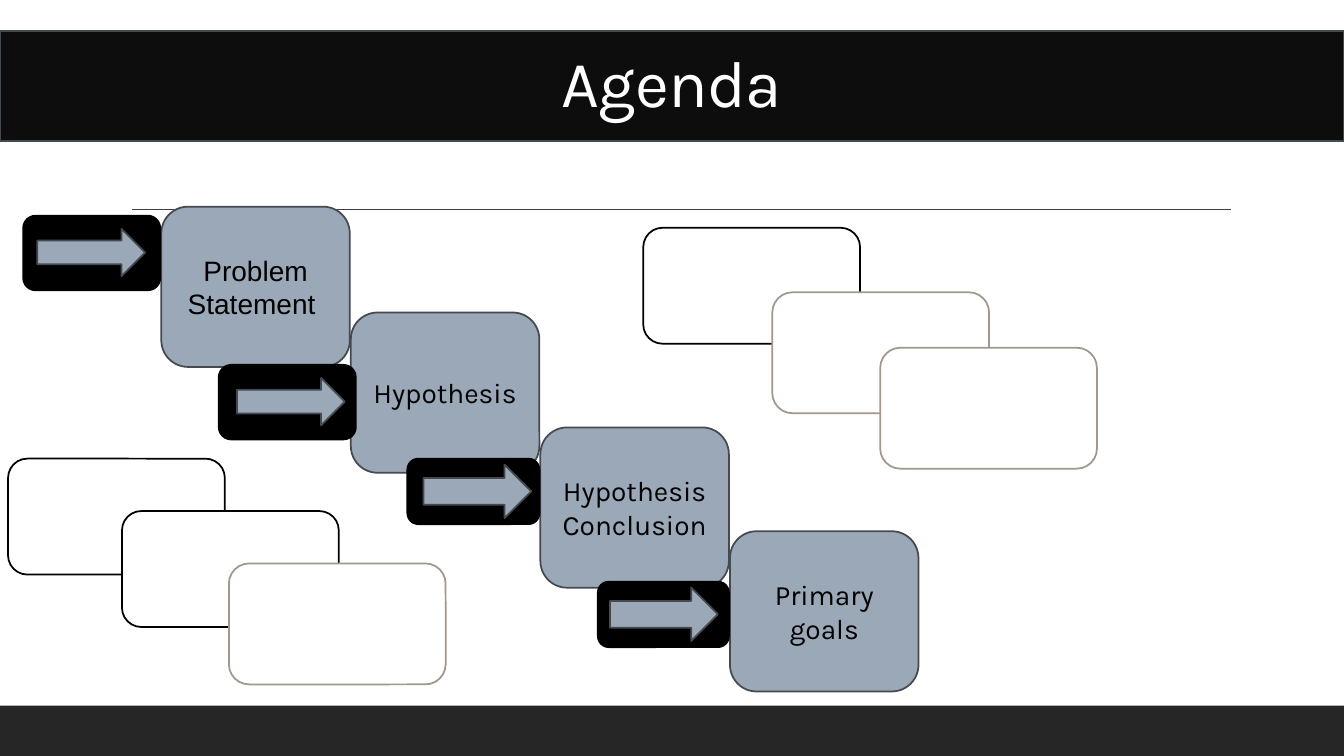
from lxml import etree
from pptx import Presentation
from pptx.dml.color import RGBColor
from pptx.enum.shapes import MSO_CONNECTOR, MSO_SHAPE
from pptx.enum.text import MSO_ANCHOR, PP_ALIGN
from pptx.oxml.ns import qn
from pptx.util import Inches, Pt

RECT = MSO_SHAPE.RECTANGLE
ROUNDED = MSO_SHAPE.ROUNDED_RECTANGLE
ARROW = MSO_SHAPE.RIGHT_ARROW
STRAIGHT = MSO_CONNECTOR.STRAIGHT
MIDDLE = MSO_ANCHOR.MIDDLE
CENTER = PP_ALIGN.CENTER

COLORS = {
    "black": "000000", "white": "FFFFFF", "title": "0D0D0D", "footer": "262626",
    "rule": "404040", "slate": "9BA8B7", "edge": "444A50", "taupe": "A0988C",
}
COLS, ROWS = 133.3, 75

# left, top of each step; label; font
STEP_TOPS = [20.5, 31, 42.4, 52.7]
STEPS = [("Problem Statement ", "Arial"), ("Hypothesis", "Karla"),
         ("Hypothesis Conclusion", "Karla"), ("Primary goals", "Karla")]
# badge box, then arrow left, top and height
BADGES = [
    ((2.3, 21.4, 13.6, 7.4), (3.7, 22.7, 4.7)),
    ((21.7, 36.2, 13.6, 7.4), (23.5, 37.5, 4.7)),
    ((40.4, 45.5, 13.1, 6.5), (42, 46.1, 5.3)),
    ((59.3, 57.7, 13, 6.5), (60.5, 58.3, 5.3)),
]
# left, top, height, outline of each empty card, back to front
CARDS = [
    (63.8, 22.6, 11.5, "black"), (76.6, 29, 12, "taupe"), (87.3, 34.5, 12, "taupe"),
    (0.8, 45.5, 11.5, "black"), (12.1, 50.7, 11.5, "black"), (22.7, 55.9, 12, "taupe"),
]


class Deck:
    """Holds the style, the grid and the current slide."""

    def __init__(self):
        self.prs = Presentation()
        self.prs.slide_width, self.prs.slide_height = Inches(13.33), Inches(7.5)
        self.slide = self.prs.slides.add_slide(self.prs.slide_layouts[6])

    def x(self, cols):
        return round(self.prs.slide_width * cols / COLS)

    def y(self, rows):
        return round(self.prs.slide_height * rows / ROWS)

    def color(self, name):
        return RGBColor.from_string(COLORS[name])

    def box(self, kind, left, top, width, height, fill, line=None):
        sp = self.slide.shapes.add_shape(
            kind, self.x(left), self.y(top), self.x(width), self.y(height))
        sp.shadow.inherit = False
        sp.fill.solid()
        sp.fill.fore_color.rgb = self.color(fill)
        if line:
            sp.line.color.rgb = self.color(line)
            sp.line.width = Pt(1.25)
        else:
            sp.line.fill.background()
        return sp

    def text(self, sp, words, size, font, color, spacing=None, tracking=None):
        """Centre words in a shape; tracking is in hundredths of a point."""
        tf = sp.text_frame
        tf.word_wrap = True
        tf.vertical_anchor = MIDDLE
        p = tf.paragraphs[0]
        p.alignment = CENTER
        p.line_spacing = spacing
        r = p.add_run()
        r.text = words
        r.font.size = Pt(size)
        r.font.name = font
        r.font.color.rgb = self.color(color)
        if tracking:
            r._r.get_or_add_rPr().set("spc", str(tracking))

    def rule(self, left, right, row):
        line = self.slide.shapes.add_connector(
            STRAIGHT, self.x(left), self.y(row), self.x(right), self.y(row))
        line.line.color.rgb = self.color("rule")
        line.line.width = Pt(1)
        etree.SubElement(line._element.spPr, qn("a:effectLst"))

    def title(self, words):
        sp = self.box(RECT, 0, 3.1, COLS, 10.9, "title", "edge")
        self.text(sp, words, 47, "Karla", "white", 0.9, -50)

    def step(self, left, top, words, font):
        sp = self.box(ROUNDED, left, top, 18.7, 15.9, "slate", "edge")
        self.text(sp, words, 20, font, "black")

    def badge(self, frame, arrow):
        left, top, height = arrow
        self.box(ROUNDED, *frame, "black", "black")
        self.box(ARROW, left, top, 10.7, height, "slate", "edge")

    def card(self, left, top, height, line):
        self.box(ROUNDED, left, top, 21.5, height, "white", line)


def main():
    deck = Deck()
    deck.box(RECT, 0, 70, COLS, 5, "footer")
    deck.rule(13.1, 122.1, 20.8)
    for i, (top, (words, font)) in enumerate(zip(STEP_TOPS, STEPS)):
        deck.step(16 + 18.8 * i, top, words, font)
    deck.title("Agenda")
    for frame, arrow in BADGES:
        deck.badge(frame, arrow)
    for card in CARDS:
        deck.card(*card)
    deck.prs.save("out.pptx")


if __name__ == "__main__":
    main()
